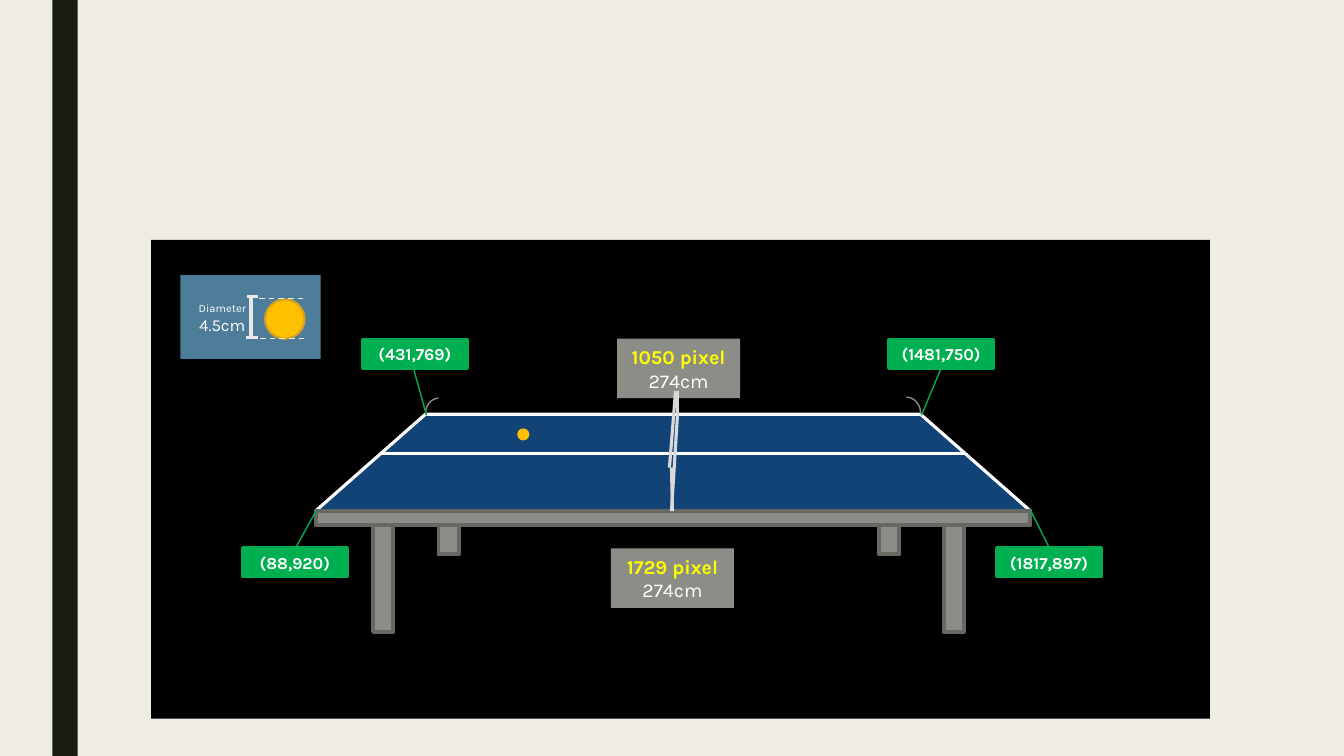
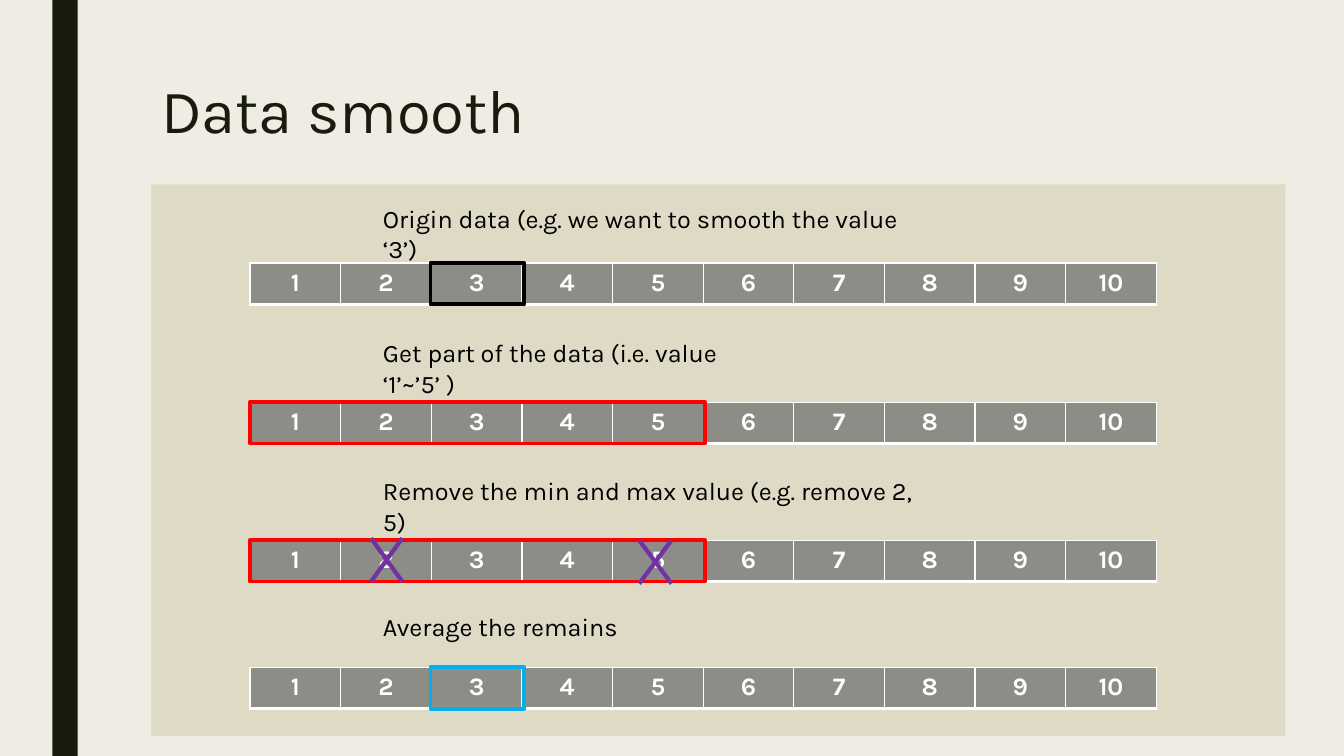
from dataclasses import dataclass

from lxml import etree
from pptx import Presentation
from pptx.dml.color import RGBColor
from pptx.enum.dml import MSO_LINE
from pptx.enum.shapes import MSO_CONNECTOR, MSO_SHAPE
from pptx.enum.text import MSO_ANCHOR, PP_ALIGN
from pptx.oxml.ns import qn
from pptx.util import Pt

RECT, OVAL = MSO_SHAPE.RECTANGLE, MSO_SHAPE.OVAL
TRAP, ARC = MSO_SHAPE.TRAPEZOID, MSO_SHAPE.ARC
LINE, DASH = MSO_CONNECTOR.STRAIGHT, MSO_LINE.DASH
LEFT, MID = PP_ALIGN.LEFT, PP_ALIGN.CENTER
TOP, CENTER = MSO_ANCHOR.TOP, MSO_ANCHOR.MIDDLE
PX = 9144  # EMU per px, 100 px to the inch


@dataclass(frozen=True)
class Theme:
    font: str = "Karla"
    paper: str = "EFEDE3"
    ink: str = "191B0E"
    sand: str = "DEDAC5"
    black: str = "000000"
    white: str = "FFFFFF"
    grey: str = "8C8D86"
    edge: str = "686863"
    blue: str = "124377"
    steel: str = "4D7D99"
    green: str = "00B050"
    gold: str = "FFC000"
    amber: str = "D7A124"
    yellow: str = "FFFF00"
    net: str = "D9D9D9"
    pale: str = "E8E8E7"
    red: str = "FF0000"
    sky: str = "00B0F0"
    purple: str = "7332A4"
    title: int = 44
    body: int = 18
    size: int = 14
    note: int = 12
    small: int = 8
    thick: float = 2.75
    mid: float = 2.25


T = Theme()

# Content of slide 1: boxes are left, top, width, height; lines are x1, y1, x2, y2
SIZES = [("1050 pixel", "274cm", (612, 336, 122, 59)),
         ("1729 pixel", "274cm", (606, 544, 122, 59))]
LEGS = [(370, 515), (435, 438), (872, 438), (936, 515)]
NET = [(670, 388, 664, 464), (666, 464, 667, 507),
       (672, 411, 672, 388), (672, 411, 666, 507)]
HOOKS = [((422, 395, 26, 31), True), ((885, 394, 28, 31), False)]
POINTS = [("(431,769)", (360, 337), (423, 412, 410, 365)),
          ("(1481,750)", (882, 337), (914, 412, 934, 364)),
          ("(88,920)", (241, 544), (314, 506, 293, 544)),
          ("(1817,897)", (989, 544), (1022, 506, 1041, 544))]
GAUGE = [(256, 294, 245, 294), (256, 335, 244, 335), (249, 296, 249, 335)]
GUIDES = [(301, 296, 254, 296), (302, 336, 254, 336)]

# Content of slide 2
TITLE = "Data smooth"
GRID = (248, 899, 41)  # left, width, height
VALUES = [str(n) for n in range(1, 11)]
ONE, FIVE = (427, 93), (248, 451)  # left and width of a mark
STEPS = [  # caption, its top and width, row top, mark, mark colour
    ("Origin data (e.g. we want to smooth the value ‘3’)", 197, 547, 261, ONE, T.black),
    ("Get part of the data (i.e. value ‘1’~’5’ )", 330, 425, 399, FIVE, T.red),
    ("Remove the min and max value (e.g. remove 2, 5)", 467, 567, 536, FIVE, T.red),
    ("Average the remains", 602, 567, 662, ONE, T.sky)]
CROSSES = [(368, 534, 399, 577), (634, 536, 666, 579)]


# Helpers
def rgb(tone):
    return RGBColor.from_string(tone)


def scale(box):
    return [n * PX for n in box]


def stroke(line, tone, width, dash=None):
    line.color.rgb = rgb(tone)
    line.width = Pt(width)
    if dash:
        line.dash_style = dash


def style(para, size, tone, align=LEFT, bold=False):
    para.alignment = align
    font = para.font
    font.name, font.size, font.bold = T.font, Pt(size), bold
    font.color.rgb = rgb(tone)


def write(frame, rows, align=LEFT, anchor=TOP):
    """Each row is text, size, colour, bold."""
    frame.word_wrap = True
    frame.vertical_anchor = anchor
    for i, (text, size, tone, bold) in enumerate(rows):
        para = frame.add_paragraph() if i else frame.paragraphs[0]
        para.text = text
        style(para, size, tone, align, bold)


def shape(slide, kind, box, fill=None, edge=None, width=T.thick, rows=()):
    item = slide.shapes.add_shape(kind, *scale(box))
    item.shadow.inherit = False
    if fill:
        item.fill.solid()
        item.fill.fore_color.rgb = rgb(fill)
    else:
        item.fill.background()
    if edge:
        stroke(item.line, edge, width)
    else:
        item.line.fill.background()
    if rows:
        write(item.text_frame, rows, MID, CENTER)
    return item


def link(slide, ends, tone, width, dash=None):
    item = slide.shapes.add_connector(LINE, *scale(ends))
    stroke(item.line, tone, width, dash)
    etree.SubElement(item.element.spPr, qn("a:effectLst"))


def label(slide, box, rows, align=LEFT):
    frame = slide.shapes.add_textbox(*scale(box)).text_frame
    write(frame, rows, align)
    return frame


def border(cell, side, width):
    props = cell._tc.get_or_add_tcPr()
    line = etree.SubElement(props, qn("a:ln" + side), w=str(Pt(width)))
    fill = etree.SubElement(line, qn("a:solidFill"))
    etree.SubElement(fill, qn("a:srgbClr"), val=T.white)


def strip(slide, top):
    left, width, height = GRID
    table = slide.shapes.add_table(
        1, len(VALUES), *scale((left, top, width, height))).table
    for cell, value in zip(table.iter_cells(), VALUES):
        for side, weight in zip("LRTB", (1, 1, 1, 3)):
            border(cell, side, weight)
        cell.fill.solid()
        cell.fill.fore_color.rgb = rgb(T.grey)
        cell.text = value
        style(cell.text_frame.paragraphs[0], T.body, T.white, MID, True)


def start(deck):
    slide = deck.slides.add_slide(deck.slide_layouts[6])
    shape(slide, RECT, (52, 0, 25, 750), T.ink)
    return slide


# Slide 1: the table tennis table with its measures
def court(deck):
    slide = start(deck)
    shape(slide, RECT, (150, 238, 1050, 475), T.black)
    shape(slide, RECT, (179, 273, 139, 83), T.steel)
    for count, length, box in SIZES:
        shape(slide, RECT, box, T.grey, rows=[
            (count, T.size, T.yellow, True), (length, T.size, T.white, False)])

    # Legs, top and net
    for left, top in LEGS:
        shape(slide, RECT, (left, top, 20, 112), T.grey, T.edge)
    board = shape(slide, TRAP, (313, 411, 709, 96), T.blue, T.white, T.mid)
    board.adjustments[0] = 1.135
    link(slide, (377, 450, 956, 450), T.white, T.mid)
    shape(slide, RECT, (313, 507, 709, 14), T.grey, T.edge)
    for ends in NET:
        link(slide, ends, T.net, T.mid)
    shape(slide, OVAL, (513, 425, 12, 12), T.gold)
    for box, flip in HOOKS:
        hook = shape(slide, ARC, box, edge=T.grey, width=1)
        hook.adjustments[0], hook.adjustments[1] = 162, 2.766
        if flip:
            hook.element.spPr.find(qn("a:xfrm")).set("flipH", "1")

    # Corner points
    for text, (left, top), ends in POINTS:
        link(slide, ends, T.green, 1)
        shape(slide, RECT, (left, top, 103, 28), T.green, T.green,
              rows=[(text, T.note, T.white, True)])

    # Ball size
    shape(slide, OVAL, (263, 297, 39, 39), T.gold, T.amber, 1.5)
    for ends in GAUGE:
        link(slide, ends, T.pale, T.mid)
    label(slide, (179, 294, 83, 44), [
        ("Diameter", T.small, T.white, False),
        ("4.5cm", T.note, T.white, False)], MID)
    for ends in GUIDES:
        link(slide, ends, T.paper, 1, DASH)


# Slide 2: the four steps of smoothing
def smooth(deck):
    slide = start(deck)
    shape(slide, RECT, (150, 183, 1125, 547), T.sand)
    head = label(slide, (150, 75, 1050, 162), [(TITLE, T.title, T.ink, False)])
    head.paragraphs[0].line_spacing = 0.89
    for text, top, width, row, (left, span), tone in STEPS:
        strip(slide, row)
        label(slide, (370, top, width, 40), [(text, T.body, T.black, False)])
        shape(slide, RECT, (left, row, span, GRID[2]), edge=tone)
    for x1, y1, x2, y2 in CROSSES:
        link(slide, (x2, y1, x1, y2), T.purple, 3)
        link(slide, (x2, y2, x1, y1), T.purple, 3)


def main():
    deck = Presentation()
    deck.slide_width, deck.slide_height = scale((1333, 750))
    back = deck.slide_master.background.fill
    back.solid()
    back.fore_color.rgb = rgb(T.paper)
    court(deck)
    smooth(deck)
    deck.save("out.pptx")


if __name__ == "__main__":
    main()
